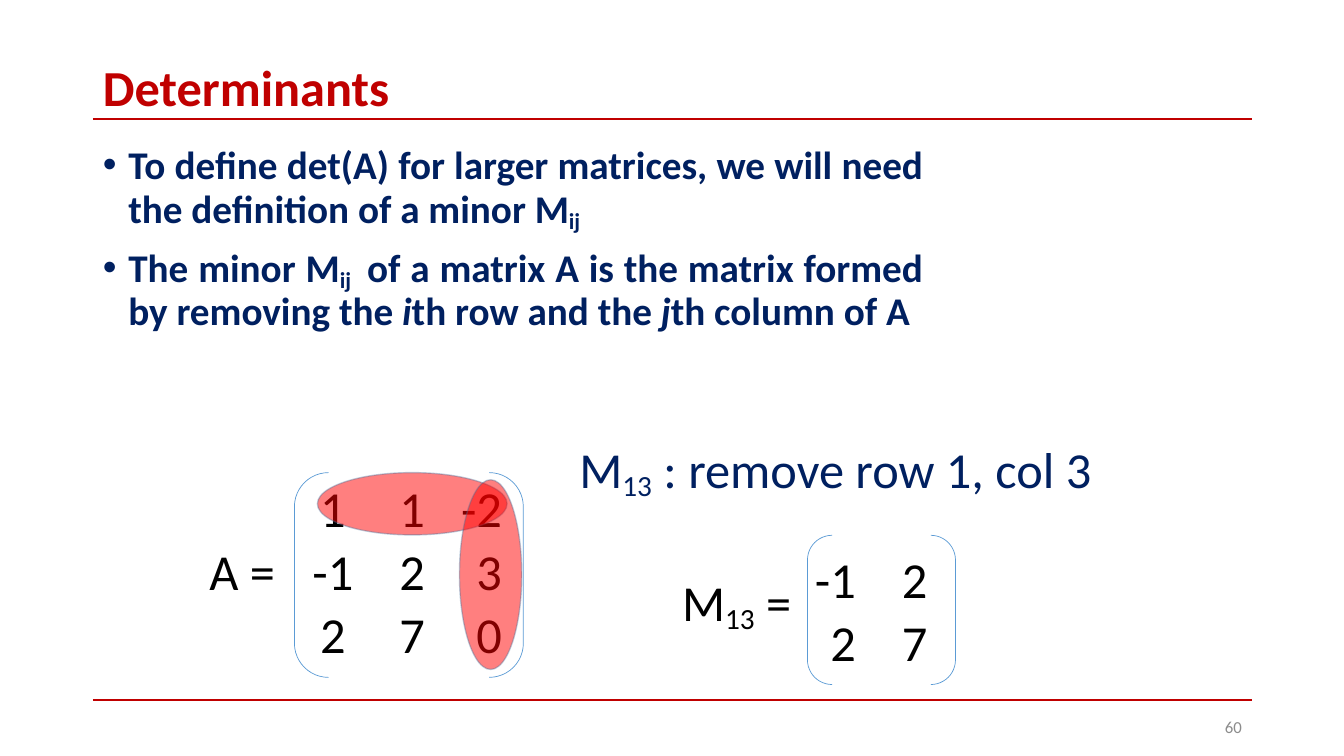
from dataclasses import dataclass

import pptx
import pptx.dml.color
import pptx.enum.shapes
import pptx.enum.text
import pptx.oxml
import pptx.oxml.ns
import pptx.util
from pptx.util import Cm

ALIGN = pptx.enum.text.PP_ALIGN
ANCHOR = pptx.enum.text.MSO_ANCHOR
SHAPE = pptx.enum.shapes.MSO_SHAPE


@dataclass(frozen=True)
class Theme:
    font: str = "Calibri"
    red: str = "C00000"
    navy: str = "002060"
    black: str = "000000"
    grey: str = "8C8C8C"
    bracket: str = "5B9BD5"
    mark: str = "FF0000"
    mark_edge: str = "43739E"
    large: int = 36
    body: int = 28
    small: int = 12


THEME = Theme()


def rgb(value):
    return pptx.dml.color.RGBColor.from_string(value)


def write(paragraph, runs, size, color, bold=False, align=ALIGN.LEFT):
    """Fill a paragraph from (text, style) pairs; style is "", "sub" or "italic"."""
    paragraph.alignment = align
    font = paragraph.font
    font.name, font.size, font.bold = THEME.font, pptx.util.Pt(size), bold
    font.color.rgb = rgb(color)
    for text, style in runs:
        run = paragraph.add_run()
        run.text = text
        if style == "sub":
            run._r.get_or_add_rPr().set("baseline", "-16000")
        elif style == "italic":
            run.font.italic = True


def place(shape, box):
    shape.left, shape.top, shape.width, shape.height = (Cm(v) for v in box)


def add_text(slide, box, runs, color=THEME.black, size=THEME.large,
             align=ALIGN.LEFT, wrap=False, side_inset=0.25):
    frame = slide.shapes.add_textbox(*(Cm(v) for v in box)).text_frame
    frame.word_wrap = wrap
    frame.margin_left = frame.margin_right = Cm(side_inset)
    write(frame.paragraphs[0], runs, size, color, align=align)
    return frame


def set_alpha(color_format, percent):
    color = color_format._xFill.find(".//" + pptx.oxml.ns.qn("a:srgbClr"))
    alpha = pptx.oxml.parse_xml(
        f'<a:alpha {pptx.oxml.ns.nsdecls("a")} val="{percent * 1000}"/>')
    color.append(alpha)


def add_rule(slide, left, right, y):
    rule = slide.shapes.add_connector(
        pptx.enum.shapes.MSO_CONNECTOR.STRAIGHT, Cm(left), Cm(y), Cm(right), Cm(y))
    rule.line.color.rgb = rgb(THEME.red)
    rule.line.width = pptx.util.Pt(1.5)
    rule._element.spPr.append(
        pptx.oxml.parse_xml(f'<a:effectLst {pptx.oxml.ns.nsdecls("a")}/>'))


def add_heading(slide, box):
    left, top, width, height = box
    title = slide.shapes.title
    place(title, box)
    frame = title.text_frame
    frame.vertical_anchor = ANCHOR.MIDDLE
    frame.auto_size = pptx.enum.text.MSO_AUTO_SIZE.NONE
    frame.paragraphs[0].line_spacing = 0.9
    write(frame.paragraphs[0], [("Determinants", "")], THEME.large, THEME.red, bold=True)
    add_rule(slide, left, left + width, top + height)


def add_definitions(slide, box, definitions):
    body = slide.placeholders[1]
    place(body, box)
    frame = body.text_frame
    frame.auto_size = pptx.enum.text.MSO_AUTO_SIZE.NONE
    for index, runs in enumerate(definitions):
        paragraph = frame.add_paragraph() if index else frame.paragraphs[0]
        write(paragraph, runs, THEME.body, THEME.navy, bold=True, align=ALIGN.JUSTIFY)
        paragraph.line_spacing = 0.9
        paragraph.space_before = pptx.util.Pt(10)
        properties = paragraph._p.get_or_add_pPr()
        properties.set("marL", str(Cm(0.64)))
        properties.set("indent", str(-Cm(0.64)))


def add_matrix(slide, box, rows, columns, label, label_box, row_inset=0.0):
    """Bracketed matrix; columns are (offset, alignment), label_box is relative to box."""
    left, top, _, _ = box
    pitch, cell_width, cell_height = 1.58, 1.6, 1.8
    brackets = slide.shapes.add_shape(SHAPE.DOUBLE_BRACKET, *(Cm(v) for v in box))
    brackets.shadow.inherit = False
    brackets.fill.background()
    brackets.line.color.rgb = rgb(THEME.bracket)
    brackets.line.width = pptx.util.Pt(0.5)
    for row_index, row in enumerate(rows):
        y = top + row_inset + row_index * pitch
        for value, (offset, align) in zip(row, columns):
            shift = cell_width if align == ALIGN.RIGHT else cell_width / 2
            cell = (left + offset - shift, y, cell_width, cell_height)
            add_text(slide, cell, [(value, "")], align=align, wrap=True, side_inset=0)
    dx, dy, width, height = label_box
    add_text(slide, (left + dx, top + dy, width, height), label)


def add_removal_marks(slide, box):
    """Ellipses over the first row and the last column of the matrix in box."""
    left, top, _, _ = box
    long, short = 4.78, 1.57
    first_row = (left + 0.58, top, long, short)
    last_column = (left + 4.16, top + 0.18, short, long)
    for area in (first_row, last_column):
        mark = slide.shapes.add_shape(SHAPE.OVAL, *(Cm(v) for v in area))
        mark.shadow.inherit = False
        mark.fill.solid()
        mark.fill.fore_color.rgb = rgb(THEME.mark)
        mark.line.color.rgb = rgb(THEME.mark_edge)
        mark.line.width = pptx.util.Pt(1)
        set_alpha(mark.fill.fore_color, 50)
        set_alpha(mark.line.color, 36)


def add_footer(slide, box):
    left, top, width, height = box
    add_rule(slide, left, left + width, top)
    number = add_text(slide, (left + width - 7.62, top + 0.16, 7.62, height),
                      [("60", "")], THEME.grey, THEME.small, ALIGN.RIGHT, wrap=True)
    number.vertical_anchor = ANCHOR.MIDDLE


def build_minor_slide(deck):
    slide = deck.slides.add_slide(deck.slide_layouts[1])
    left, width = 2.34, 29.21

    # Title and definitions
    add_heading(slide, (left, 1.55, width, 1.45))
    add_definitions(slide, (left, 3.53, 21.18, 13.64), [
        [("To define det(A) for larger matrices, we will need the definition "
          "of a minor M", ""), ("ij", "sub")],
        [("The minor M", ""), ("ij ", "sub"),
         (" of a matrix A is the matrix formed by removing the ", ""),
         ("i", "italic"), ("th row and the ", ""),
         ("j", "italic"), ("th column of A", "")],
    ])

    # Matrix A with its removed row and column
    matrix_box = (7.42, 11.91, 5.77, 5.16)
    add_matrix(slide, matrix_box,
               [("1", "1", "-2"), ("-1", "2", "3"), ("2", "7", "0")],
               [(0.97, ALIGN.CENTER), (2.97, ALIGN.CENTER), (5.23, ALIGN.RIGHT)],
               [("A =", "")], (-2.39, 1.58, 2.18, 1.8))
    add_removal_marks(slide, matrix_box)

    # Minor that remains
    add_text(slide, (14.35, 10.92, 13.67, 1.8),
             [("M", ""), ("13", "sub"), (" : remove row 1, col 3", "")], THEME.navy)
    add_matrix(slide, (20.35, 13.49, 3.73, 3.76),
               [("-1", "2"), ("2", "7")],
               [(1.22, ALIGN.RIGHT), (3.02, ALIGN.RIGHT)],
               [("M", ""), ("13", "sub"), (" =", "")], (-3.41, 0.78, 3.4, 1.8),
               row_inset=0.2)

    # Closing rule and slide number
    add_footer(slide, (left, 17.65, width, 1.02))


def main():
    deck = pptx.Presentation()
    deck.slide_width, deck.slide_height = Cm(33.87), Cm(19.05)
    build_minor_slide(deck)
    deck.save("out.pptx")


if __name__ == "__main__":
    main()
